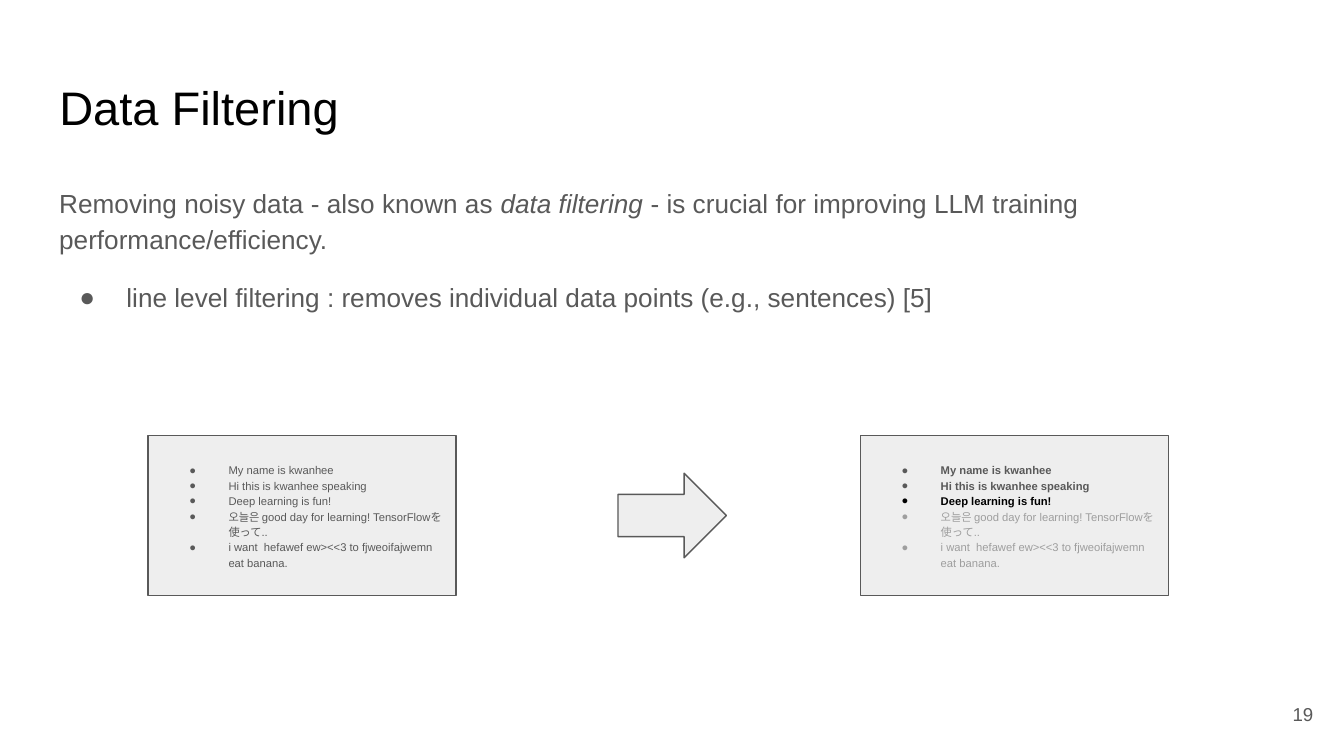
from dataclasses import dataclass

from lxml import etree
from pptx import Presentation
from pptx.dml.color import RGBColor
from pptx.enum.shapes import MSO_SHAPE
from pptx.enum.text import MSO_ANCHOR, PP_ALIGN
from pptx.oxml.ns import qn
from pptx.util import Cm, Pt

RECTANGLE, ARROW = MSO_SHAPE.RECTANGLE, MSO_SHAPE.RIGHT_ARROW
TOP, MIDDLE = MSO_ANCHOR.TOP, MSO_ANCHOR.MIDDLE
LEFT, RIGHT = PP_ALIGN.LEFT, PP_ALIGN.RIGHT


@dataclass(frozen=True)
class Theme:
    font: str = "Arial"
    black: str = "000000"
    grey: str = "595959"
    faded: str = "9E9E9E"
    panel: str = "EEEEEE"
    title: float = 25.2
    body: float = 14
    sample: float = 6
    number: float = 10


theme = Theme()


def set_frame(shape, anchor=TOP):
    frame = shape.text_frame
    margins = {f"margin_{side}": Cm(0.25) for side in ("left", "top", "right", "bottom")}
    for name, value in {"word_wrap": True, "vertical_anchor": anchor, **margins}.items():
        setattr(frame, name, value)
    return frame


def write(para, spans, size, color, bullet_indent=None, align=LEFT, spacing=1.0):
    """Fill a paragraph with (text, font format) spans, bulleted if an indent is given."""
    para.alignment, para.line_spacing = align, spacing
    if bullet_indent is not None:
        properties = para._p.get_or_add_pPr()
        properties.set("marL", str(Cm(1.27)))
        properties.set("indent", str(-bullet_indent))
        bullet_color = etree.SubElement(properties, qn("a:buClr"))
        etree.SubElement(bullet_color, qn("a:srgbClr"), val=color)
        etree.SubElement(properties, qn("a:buFont"), typeface=theme.font)
        etree.SubElement(properties, qn("a:buChar"), char="●")
    for text, extra in spans:
        span = para.add_run()
        span.text = text
        span.font.color.rgb = RGBColor.from_string(color)
        for name, value in {"name": theme.font, "size": Pt(size), **extra}.items():
            setattr(span.font, name, value)


deck = Presentation()
deck.slide_width, deck.slide_height = Cm(25.4), Cm(14.29)
page = deck.slides.add_slide(deck.slide_layouts[5])

# Title
title = page.shapes.title
title.left, title.top, title.width, title.height = Cm(0.87), Cm(1.24), Cm(23.67), Cm(1.6)
write(set_frame(title).paragraphs[0], [("Data Filtering", {})], theme.title, theme.black)

# Body text
body = page.shapes.add_textbox(Cm(0.87), Cm(3.2), Cm(23.67), Cm(9.5))
frame = set_frame(body)
write(frame.paragraphs[0], [
    ("Removing noisy data - also known as ", {}),
    ("data filtering", {"italic": True}),
    (" - is crucial for improving LLM training performance/efficiency.", {}),
], theme.body, theme.grey, spacing=1.15)
para = frame.add_paragraph()
para.space_before = Pt(12)
write(para, [("line level filtering : removes individual data points (e.g., sentences) [5]", {})],
      theme.body, theme.grey, bullet_indent=Cm(0.89), spacing=1.15)

# Panels before and after filtering, with the arrow between them
panel_width, panel_height, panel_top = Cm(5.82), Cm(3.03), Cm(8.23)
arrow_width, arrow_height = Cm(2.05), Cm(1.6)
arrow_top = panel_top + (panel_height - arrow_height) // 2
before = page.shapes.add_shape(RECTANGLE, Cm(2.8), panel_top, panel_width, panel_height)
arrow = page.shapes.add_shape(ARROW, Cm(11.68), arrow_top, arrow_width, arrow_height)
after = page.shapes.add_shape(RECTANGLE, Cm(16.26), panel_top, panel_width, panel_height)
for shape in (before, arrow, after):
    shape.shadow.inherit = False
    shape.fill.solid()
    shape.fill.fore_color.rgb = RGBColor.from_string(theme.panel)
    shape.line.color.rgb = RGBColor.from_string(theme.grey)
    shape.line.width = Pt(0.75)

# Sample sentences: kept ones turn bold, removed ones fade
samples = [
    "My name is kwanhee",
    "Hi this is kwanhee speaking",
    "Deep learning is fun!",
    "오늘은 good day for learning! TensorFlowを使って..",
    "i want  hefawef ew><<3 to fjweoifajwemn eat banana.",
]
plain = [(theme.grey, False)] * len(samples)
filtered = [(theme.grey, True)] * 2 + [(theme.black, True)] + [(theme.faded, False)] * 2
for panel, styles in ((before, plain), (after, filtered)):
    frame = set_frame(panel, MIDDLE)
    for index, (sample, (color, bold)) in enumerate(zip(samples, styles)):
        para = frame.add_paragraph() if index else frame.paragraphs[0]
        write(para, [(sample, {"bold": bold})], theme.sample, color,
              bullet_indent=Cm(0.74), spacing=1.15)

# Page number
number = page.shapes.add_textbox(Cm(23.55), Cm(12.95), Cm(1.52), Cm(1.09))
write(set_frame(number, MIDDLE).paragraphs[0], [("19", {})], theme.number, theme.grey, align=RIGHT)

deck.save("out.pptx")
